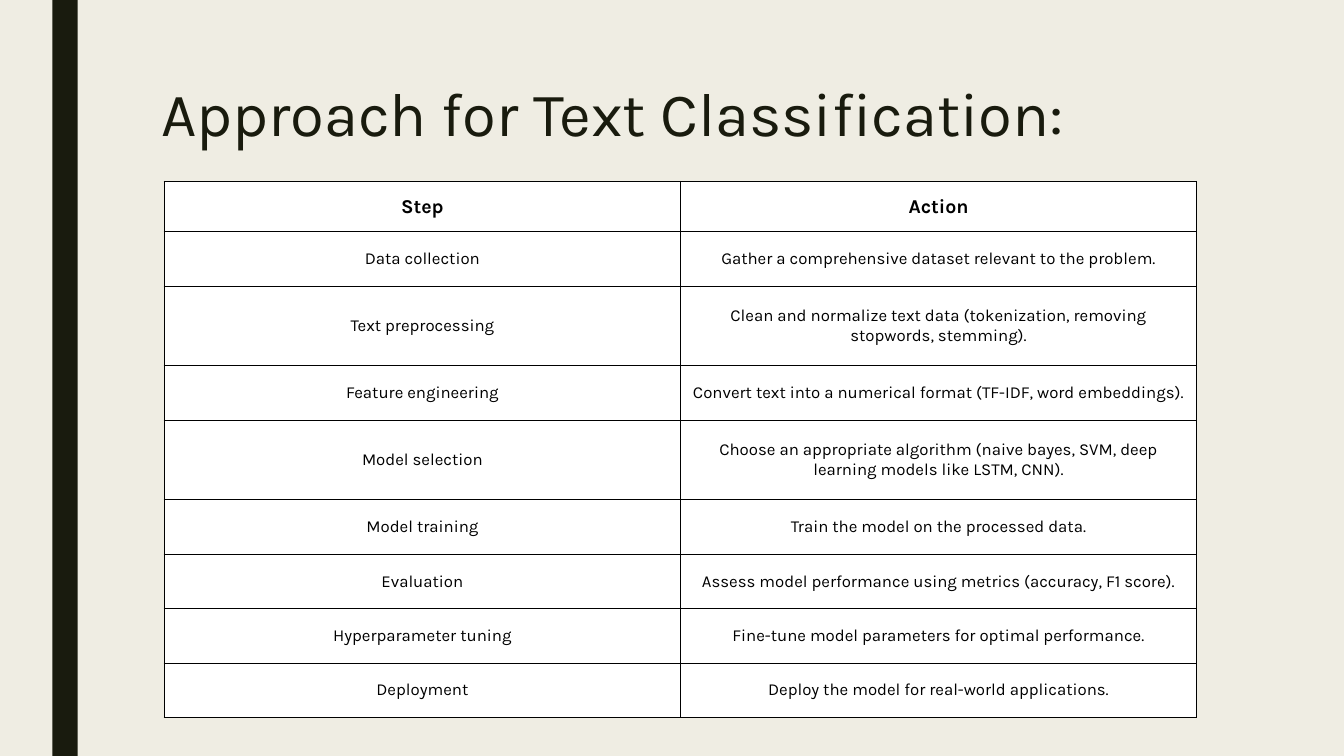
import pptx
import pptx.util
import pptx.dml.color
import pptx.enum.shapes
import pptx.enum.text
import pptx.oxml
from pptx.oxml.ns import nsdecls

Inches = pptx.util.Inches
Pt = pptx.util.Pt
RGBColor = pptx.dml.color.RGBColor
ANCHOR = pptx.enum.text.MSO_ANCHOR
ALIGN = pptx.enum.text.PP_ALIGN

TITLE = "Approach for Text Classification:"
ROWS = [
    ("Step", "Action"),
    ("Data collection", "Gather a comprehensive dataset relevant to the problem."),
    ("Text preprocessing", "Clean and normalize text data (tokenization, removing stopwords, stemming)."),
    ("Feature engineering", "Convert text into a numerical format (TF-IDF, word embeddings)."),
    ("Model selection", "Choose an appropriate algorithm (naive bayes, SVM, deep learning models like LSTM, CNN)."),
    ("Model training", "Train the model on the processed data."),
    ("Evaluation", "Assess model performance using metrics (accuracy, F1 score)."),
    ("Hyperparameter tuning", "Fine-tune model parameters for optimal performance."),
    ("Deployment", "Deploy the model for real-world applications."),
]
FONT = "Karla"
CREAM = RGBColor(0xEF, 0xED, 0xE3)
DARK = RGBColor(0x19, 0x1B, 0x0E)
BLACK = RGBColor(0, 0, 0)
WHITE = RGBColor(0xFF, 0xFF, 0xFF)
HEAD, SHORT, TALL = 0.5, 0.54, 0.79
WRAP = 70
WIDE = 5.12


def style(par, size, color, bold=False):
    par.font.name = FONT
    par.font.size = Pt(size)
    par.font.color.rgb = color
    par.font.bold = bold


def border(cell):
    props = cell._tc.get_or_add_tcPr()
    for pos, side in enumerate(("lnL", "lnR", "lnT", "lnB")):
        props.insert(pos, pptx.oxml.parse_xml(
            f'<a:{side} {nsdecls("a")} w="{Pt(1)}"><a:solidFill>'
            f'<a:srgbClr val="{BLACK}"/></a:solidFill></a:{side}>'))


def fill_cell(cell, text, head, first):
    cell.fill.solid()
    cell.fill.fore_color.rgb = WHITE
    cell.vertical_anchor = ANCHOR.MIDDLE
    cell.margin_left = cell.margin_right = Inches(0.04 if head and first else 0.08)
    cell.margin_top = cell.margin_bottom = Inches(0.08 if head else 0.11)
    cell.text = text
    par = cell.text_frame.paragraphs[0]
    par.alignment = ALIGN.CENTER
    style(par, 14 if head else 12, BLACK, head)
    border(cell)


def add_bar(slide):
    bar = slide.shapes.add_shape(
        pptx.enum.shapes.MSO_SHAPE.RECTANGLE, Inches(0.52), 0, Inches(0.25), Inches(7.5))
    bar.shadow.inherit = False
    bar.fill.solid()
    bar.fill.fore_color.rgb = DARK
    bar.line.fill.background()


def add_title(slide):
    box = slide.shapes.add_textbox(Inches(1.5), Inches(0.75), Inches(10.5), Inches(1.62))
    frame = box.text_frame
    frame.word_wrap = True
    frame.vertical_anchor = ANCHOR.TOP
    frame.margin_top = Inches(0.08)
    par = frame.paragraphs[0]
    par.text = TITLE
    par.line_spacing = 0.89
    style(par, 44, DARK)


def add_steps(slide):
    highs = [HEAD] + [TALL if len(act) > WRAP else SHORT for _, act in ROWS[1:]]
    table = slide.shapes.add_table(
        len(ROWS), 2, Inches(1.63), Inches(1.8), Inches(2 * WIDE), Inches(sum(highs))).table
    for col in table.columns:
        col.width = Inches(WIDE)
    for r, (high, texts) in enumerate(zip(highs, ROWS)):
        table.rows[r].height = Inches(high)
        for c, text in enumerate(texts):
            fill_cell(table.cell(r, c), text, r == 0, c == 0)


def main():
    deck = pptx.Presentation()
    deck.slide_width = Inches(13.33)
    deck.slide_height = Inches(7.5)
    slide = deck.slides.add_slide(deck.slide_layouts[6])
    slide.background.fill.solid()
    slide.background.fill.fore_color.rgb = CREAM
    add_bar(slide)
    add_title(slide)
    add_steps(slide)
    deck.save("out.pptx")


if __name__ == "__main__":
    main()
